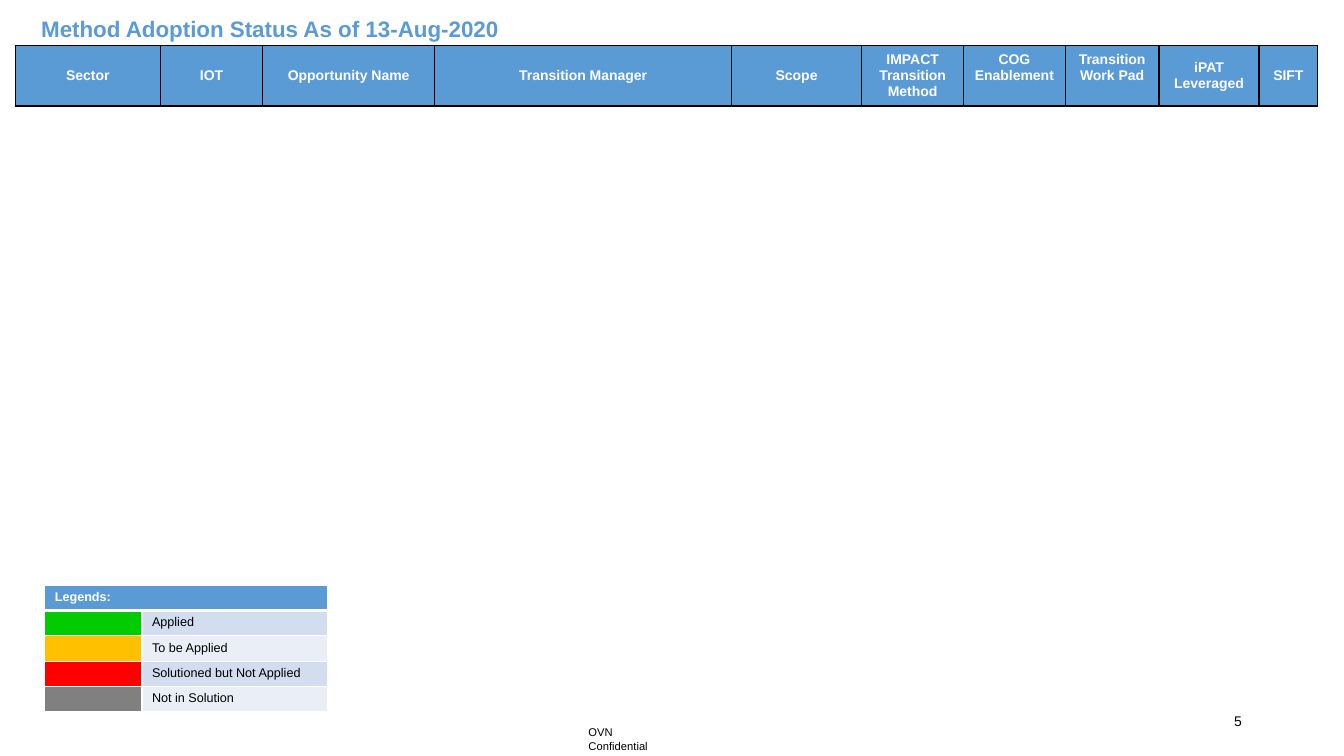
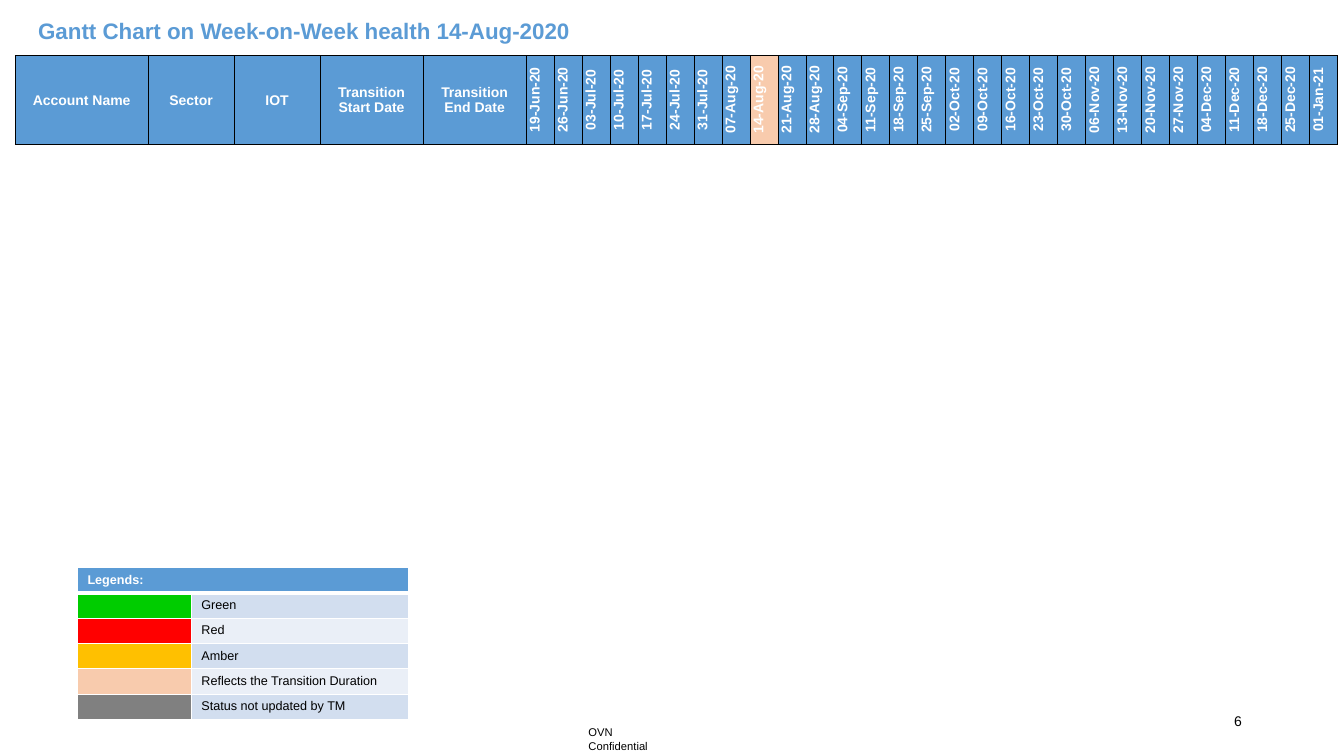
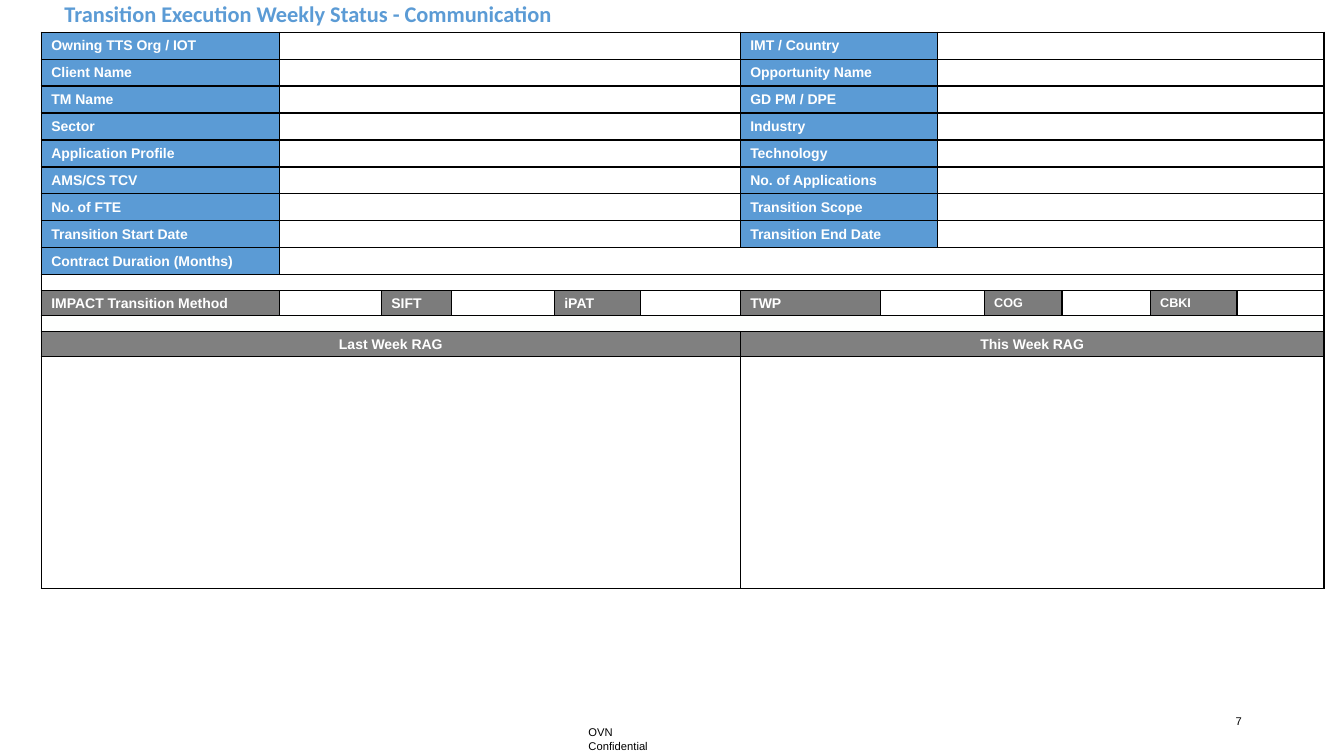
"""Builds three status slides: method adoption, weekly Gantt and transition communication."""
from lxml.etree import SubElement
from pptx import Presentation
from pptx.dml.color import RGBColor
from pptx.enum.text import MSO_ANCHOR as Anchor, PP_ALIGN as Align
from pptx.oxml.ns import qn
from pptx.util import Pt

rgb = RGBColor.from_string
BLUE, WHITE, BLACK = "5B9BD5", "FFFFFF", "000000"
GREEN, AMBER, RED, GREY, PEACH = "00CC00", "FFC000", "FF0000", "808080", "F8CBAD"
METHOD_GREY = "7C7C7C"
BANDS = ["D2DEEF", "EAEFF7"]


def write(frame, text, size, colour, bold=False, align=Align.LEFT, font="Arial"):
    frame.text = text
    for paragraph in frame.paragraphs:
        paragraph.alignment = align
        for run in paragraph.runs:
            run.font.name, run.font.size, run.font.bold = font, Pt(size), bold
            run.font.color.rgb = rgb(colour)


def add_grid(slide, left, top, widths, rows, line, line_width, size=10, anchor=Anchor.MIDDLE):
    grid = slide.shapes.add_table(len(rows), len(widths), Pt(left), Pt(top), Pt(sum(widths)),
                                  Pt(sum(height for height, _ in rows))).table
    grid.first_row = grid.horz_banding = False
    for column, width in zip(grid.columns, widths):
        column.width = Pt(width)
    for r, (height, entries) in enumerate(rows):
        grid.rows[r].height = Pt(height)
        for cell in grid.rows[r].cells:
            for side in ("a:lnL", "a:lnR", "a:lnT", "a:lnB"):
                edge = SubElement(cell._tc.get_or_add_tcPr(), qn(side), w=str(Pt(line_width)))
                SubElement(SubElement(edge, qn("a:solidFill")), qn("a:srgbClr"), val=line)
            cell.margin_top = cell.margin_bottom = 0
            cell.text_frame.paragraphs[0]._p.get_or_add_endParaRPr().set("sz", "600")
        c = 0
        for text, fill, span, align in entries:
            cell = grid.cell(r, c)
            if span > 1:
                cell.merge(grid.cell(r, c + span - 1))
            cell.fill.solid()
            cell.fill.fore_color.rgb = rgb(fill)
            cell.vertical_anchor = anchor
            if text:
                banded = fill in BANDS
                cell.margin_top = cell.margin_bottom = Pt(2.9 if fill in (GREY, METHOD_GREY) else 3.6)
                write(cell.text_frame, text, size, BLACK if banded else WHITE, not banded, align)
            c += span
    return grid


deck = Presentation()
deck.slide_width, deck.slide_height = Pt(960), Pt(540)

titles = [
    ("Method Adoption Status As of 13-Aug-2020", 22.3, 7.2, 552, 26.6, 7.2, "Arial", 10),
    ("Gantt Chart on Week-on-Week health 14-Aug-2020", 20.2, 8.6, 556, 26.6, 7.2, "Arial", 10),
    ("Transition Execution Weekly Status - Communication", 46.1, -5.8, 820, 28.8, 0, "Calibri", 8),
]
for number, (title, left, top, width, height, inset, font, number_size) in enumerate(titles, 5):
    slide = deck.slides.add_slide(deck.slide_layouts[6])
    footer = slide.shapes.add_textbox(Pt(413.3), Pt(514.8), Pt(74.2), Pt(17.3)).text_frame
    footer.word_wrap = False
    write(footer, "OVN Confidential", 8, BLACK)
    page = slide.shapes.add_textbox(Pt(678.2), Pt(500.4), Pt(216), Pt(28.8)).text_frame
    page.word_wrap, page.vertical_anchor = True, Anchor.MIDDLE
    write(page, str(number), number_size, BLACK, align=Align.RIGHT)
    heading = slide.shapes.add_textbox(Pt(left), Pt(top), Pt(width), Pt(height)).text_frame
    heading.word_wrap, heading.margin_left, heading.vertical_anchor = True, Pt(inset), Anchor.BOTTOM
    write(heading, title, 16, BLUE, True, font=font)
adoption, gantt, communication = deck.slides

adoption_columns = [
    ("Sector", 103.9), ("IOT", 72.9), ("Opportunity Name", 122.9), ("Transition Manager", 212.1),
    ("Scope", 92.9), ("IMPACT Transition Method", 72.9), ("COG Enablement", 72.5),
    ("Transition Work Pad", 67.1), ("iPAT Leveraged", 71.4), ("SIFT", 42.1),
]
adoption_grid = add_grid(adoption, 10.8, 32.4, [width for _, width in adoption_columns],
                         [(43, [(name, BLUE, 1, Align.CENTER) for name, _ in adoption_columns])],
                         BLACK, 1)
for c in (6, 7):
    adoption_grid.cell(0, c).margin_bottom = Pt(15)

account_columns = [("Account Name", 95), ("Sector", 61.4), ("IOT", 61.4),
                   ("Transition\nStart Date", 73.6), ("Transition\nEnd Date", 73.6)]
month_days = {
    "Jun-20": "19 26", "Jul-20": "03 10 17 24 31", "Aug-20": "07 14 21 28",
    "Sep-20": "04 11 18 25", "Oct-20": "02 09 16 23 30", "Nov-20": "06 13 20 27",
    "Dec-20": "04 11 18 25", "Jan-21": "01",
}
weeks = [f"{day}-{month}" for month, days in month_days.items() for day in days.split()]
gantt_names = [name for name, _ in account_columns] + weeks
gantt_grid = add_grid(gantt, 10.8, 39.6, [width for _, width in account_columns] + [20] * len(weeks),
                      [(63.4, [(name, PEACH if name == "14-Aug-20" else BLUE, 1, Align.CENTER)
                               for name in gantt_names])], BLACK, 0.5)
for c, cell in enumerate(gantt_grid.rows[0].cells):
    cell.margin_left = cell.margin_right = cell.margin_top = Pt(0.7)
    cell.margin_bottom = 0
    if c >= len(account_columns):
        cell._tc.get_or_add_tcPr().set("vert", "vert270")

legends = [
    (adoption, 32, 418, [69.4, 132.6],
     [(GREEN, "Applied"), (AMBER, "To be Applied"), (RED, "Solutioned but Not Applied"),
      (GREY, "Not in Solution")]),
    (gantt, 55.3, 405.4, [81.4, 155.2],
     [(GREEN, "Green"), (RED, "Red"), (AMBER, "Amber"),
      (PEACH, "Reflects the Transition Duration"), (GREY, "Status not updated by TM")]),
]
for slide, left, top, widths, meanings in legends:
    rows = [(18.1, [("Legends:", BLUE, 2, Align.LEFT)])]
    rows += [(18.1, [("", colour, 1, Align.LEFT), (meaning, BANDS[i % 2], 1, Align.LEFT)])
             for i, (colour, meaning) in enumerate(meanings)]
    legend = add_grid(slide, left, top, widths, rows, WHITE, 1, 9, Anchor.TOP)
    for cell in legend.rows[0].cells:
        cell._tc.tcPr.find(qn("a:lnB")).set("w", str(Pt(3)))

field_pairs = [
    ("Owning TTS Org / IOT", "IMT / Country"), ("Client Name", "Opportunity Name"),
    ("TM Name", "GD PM / DPE"), ("Sector", "Industry"), ("Application Profile", "Technology"),
    ("AMS/CS TCV", "No. of Applications"), ("No. of FTE", "Transition Scope"),
    ("Transition Start Date", "Transition End Date"),
]
status_rows = [(19.15, [(first, BLUE, 1, Align.LEFT), ("", WHITE, 5, Align.LEFT),
                        (second, BLUE, 2, Align.LEFT), ("", WHITE, 5, Align.LEFT)])
               for first, second in field_pairs]
methods = []
for method in ("IMPACT Transition Method", "SIFT", "iPAT", "TWP", "COG", "CBKI"):
    methods += [(method, METHOD_GREY, 1, Align.LEFT),
                ("", WHITE, 2 if method == "TWP" else 1, Align.LEFT)]
status_rows += [
    (19.15, [("Contract Duration (Months)", BLUE, 1, Align.LEFT), ("", WHITE, 12, Align.LEFT)]),
    (11.5, [("", WHITE, 13, Align.LEFT)]),
    (17.8, methods),
    (11.5, [("", "FEFFFE", 13, Align.LEFT)]),
    (17.8, [("Last Week RAG", GREY, 6, Align.CENTER), ("This Week RAG", GREY, 7, Align.CENTER)]),
    (165.6, [("", WHITE, 6, Align.LEFT), ("", WHITE, 7, Align.LEFT)]),
]
status_widths = [170, 72.9, 50, 73.6, 61.4, 71.4, 100, 40.7, 33.6, 55.7, 62.9, 62.1, 62.1]
status_grid = add_grid(communication, 29.5, 23, status_widths, status_rows, BLACK, 1)
for c in (9, 11):
    status_grid.cell(10, c).text_frame.paragraphs[0].runs[0].font.size = Pt(9)

deck.save("out.pptx")
